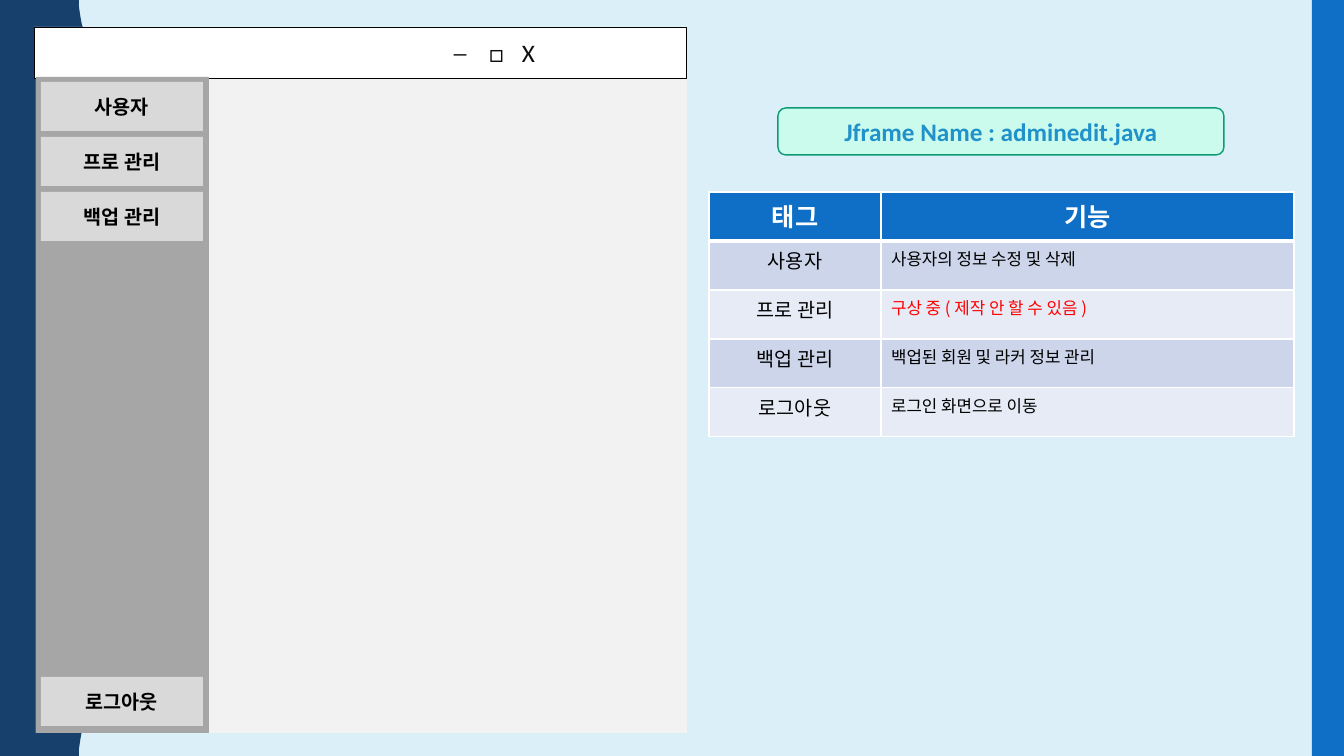
"""Build the admin edit window mock-up slide with its function table."""
from lxml.etree import SubElement
from pptx import Presentation
from pptx.dml.color import RGBColor
from pptx.enum.shapes import MSO_SHAPE as SHAPE
from pptx.enum.text import MSO_ANCHOR as ANCHOR, PP_ALIGN as ALIGN
from pptx.oxml.ns import qn
from pptx.util import Emu, Pt

HEADER = ("태그", "기능")
ROWS = [
    ("사용자", "사용자의 정보 수정 및 삭제", "black"),
    ("프로 관리", "구상 중 ( 제작 안 할 수 있음 )", "red"),
    ("백업 관리", "백업된 회원 및 라커 정보 관리", "black"),
    ("로그아웃", "로그인 화면으로 이동", "black"),
]
MENU = ["사용자", "프로 관리", "백업 관리"]
LOGOUT = "로그아웃"
WINDOW_ICONS = [(410, "─"), (445, "□"), (478, "X")]
FRAME_NAME = "Jframe Name : adminedit.java"

COLORS = {
    "back": "DBEFF9", "navy": "17406D", "blue": "0F6FC6", "white": "FFFFFF",
    "black": "000000", "ink": "0D0D0D", "red": "FF0000", "body": "F2F2F2",
    "sidebar": "A6A6A6", "button": "D9D9D9", "mint": "CAFBED",
    "green": "0C9B74", "sky": "2191C9", "band0": "CCD5EA", "band1": "E7EBF5",
}
KOREAN = "Noto Sans CJK KR"
SLIDE_W, SLIDE_H = 1344, 756
WAVES, WAVE_X = 5, 79
HALF_WAVE = [(0, 0), (0, 7), (1, 14), (2, 20), (3, 25), (5, 29), (7, 33), (9, 38),
             (11, 42), (13, 46), (15, 50), (17, 55), (18, 61), (19, 69), (19, 76)]
BUTTON_X, BUTTON_Y, BUTTON_W, BUTTON_H, BUTTON_STEP = 41, 82, 162, 49, 55
LOGOUT_Y = 677
TABLE_X, TABLE_Y, COL_W, ROW_H = 709, 192, (172, 413), 49


def px(n):
    return Emu(round(n * 914400 / 100.8))


def rgb(name):
    return RGBColor.from_string(COLORS[name])


def paint(sp, fill, line=None, width=1):
    sp.shadow.inherit = False
    sp.fill.solid()
    sp.fill.fore_color.rgb = rgb(fill)
    if line:
        sp.line.color.rgb = rgb(line)
        sp.line.width = Pt(width)
    else:
        sp.line.fill.background()


def box(slide, x, y, w, h, fill, line=None, width=1, kind=SHAPE.RECTANGLE):
    sp = slide.shapes.add_shape(kind, px(x), px(y), px(w), px(h))
    paint(sp, fill, line, width)
    return sp


def write(tf, text, size, color, font, bold=False, align=ALIGN.CENTER, east=None):
    p = tf.paragraphs[0]
    p.alignment = align
    r = p.add_run()
    r.text = text
    r.font.size, r.font.bold, r.font.name = Pt(size), bold, font
    r.font.color.rgb = rgb(color)
    if east:
        SubElement(r.font._element, qn("a:ea"), typeface=east)
    return p


def button(slide, y, label):
    sp = box(slide, BUTTON_X, y, BUTTON_W, BUTTON_H, "button")
    write(sp.text_frame, label, 14, "black", "Arial", True, east=KOREAN)


def fill_cell(cell, fill, bottom, text, size, color, bold, align):
    tc_pr = cell._tc.get_or_add_tcPr()
    for side, width in (("lnL", 1), ("lnR", 1), ("lnT", 1), ("lnB", bottom)):
        ln = SubElement(tc_pr, qn(f"a:{side}"), w=str(Pt(width)))
        solid = SubElement(ln, qn("a:solidFill"))
        SubElement(solid, qn("a:srgbClr"), val=COLORS["white"])
    cell.fill.solid()
    cell.fill.fore_color.rgb = rgb(fill)
    write(cell.text_frame, text, size, color, KOREAN, bold, align, KOREAN)


def draw_backdrop(slide):
    slide.background.fill.solid()
    slide.background.fill.fore_color.rgb = rgb("back")
    period = SLIDE_H / WAVES
    wave = HALF_WAVE + [(dx, period - dy) for dx, dy in reversed(HALF_WAVE)]
    edge = [(px(WAVE_X + dx), px(i * period + dy))
            for i in range(WAVES) for dx, dy in wave]
    outline = slide.shapes.build_freeform(0, 0)
    outline.add_line_segments(edge + [(0, px(SLIDE_H))], close=True)
    paint(outline.convert_to_shape(), "navy")
    box(slide, 1312, 0, SLIDE_W - 1312, SLIDE_H, "blue")


def draw_table(slide):
    table = slide.shapes.add_table(
        len(ROWS) + 1, 2, px(TABLE_X), px(TABLE_Y),
        px(sum(COL_W)), px(ROW_H * (len(ROWS) + 1))).table
    for col, w in zip(table.columns, COL_W):
        col.width = px(w)
    for row in table.rows:
        row.height = px(ROW_H)
    for c, text in enumerate(HEADER):
        fill_cell(table.cell(0, c), "blue", 3, text, 18, "white", True, ALIGN.CENTER)
    for i, (tag, role, color) in enumerate(ROWS):
        band = f"band{i % 2}"
        fill_cell(table.cell(i + 1, 0), band, 1, tag, 14, "black", False, ALIGN.CENTER)
        fill_cell(table.cell(i + 1, 1), band, 1, role, 12, color, False, ALIGN.LEFT)


def draw_window(slide):
    box(slide, 36, 77, 651, 656, "body")
    bar = box(slide, 34, 27, 652, 51, "white", "black", 0.25)
    icons = "".join("\t" + icon for _, icon in WINDOW_ICONS)
    p = write(bar.text_frame, icons, 18, "ink", "Calibri", align=ALIGN.LEFT)
    tabs = SubElement(p._p.get_or_add_pPr(), qn("a:tabLst"))
    for stop, _ in WINDOW_ICONS:
        SubElement(tabs, qn("a:tab"), pos=str(px(stop)), algn="l")
    box(slide, 36, 77, 173, 656, "sidebar")
    for i, label in enumerate(MENU):
        button(slide, BUTTON_Y + i * BUTTON_STEP, label)
    button(slide, LOGOUT_Y, LOGOUT)


def main():
    prs = Presentation()
    prs.slide_width, prs.slide_height = px(SLIDE_W), px(SLIDE_H)
    slide = prs.slides.add_slide(prs.slide_layouts[6])
    draw_backdrop(slide)
    draw_table(slide)
    draw_window(slide)
    tag = box(slide, 778, 108, 446, 47, "mint", "green", kind=SHAPE.ROUNDED_RECTANGLE)
    tag.text_frame.vertical_anchor = ANCHOR.MIDDLE
    write(tag.text_frame, FRAME_NAME, 18, "sky", "Calibri", True)
    prs.save("out.pptx")


if __name__ == "__main__":
    main()
